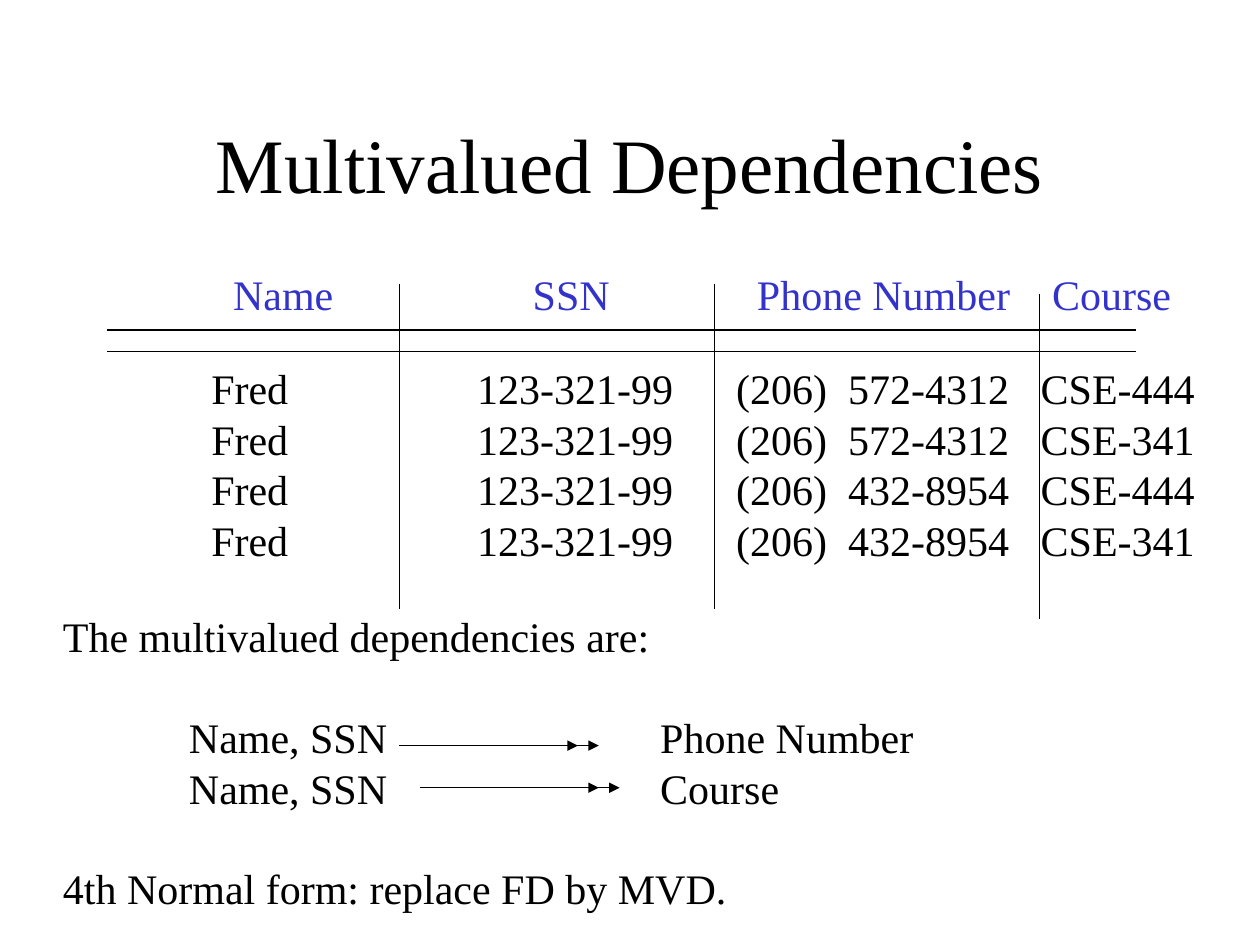
from lxml.etree import SubElement
from pptx import Presentation
from pptx.dml.color import RGBColor
from pptx.enum.shapes import MSO_CONNECTOR
from pptx.enum.text import MSO_ANCHOR, PP_ALIGN
from pptx.oxml.ns import qn
from pptx.util import Cm, Pt


def colour(value):
    return RGBColor.from_string(value)


def apply(target, values):
    for name, value in values.items():
        setattr(target, name, value)


class Page:
    """Holds the style and the current slide, and draws each kind of element."""

    font = {"name": "Times New Roman", "size": Pt(24)}
    body = {"line_spacing": Pt(28.8)}
    black = "000000"
    blue = "3333CC"

    def __init__(self, deck):
        self.slide = deck.slides.add_slide(deck.slide_layouts[6])

    def text(self, place, lines, tabs=(), ink=black, font=None, para_format=body, frame_format=None):
        box = self.slide.shapes.add_textbox(*map(Cm, place))
        frame = box.text_frame
        apply(frame, {"word_wrap": True, **(frame_format or {})})
        for index, (words, gap) in enumerate(lines):
            para = frame.paragraphs[0] if index == 0 else frame.add_paragraph()
            apply(para, {**para_format, "space_before": Pt(gap)})
            if tabs:
                stops = SubElement(para._p.get_or_add_pPr(), qn("a:tabLst"))
                for stop in tabs:
                    SubElement(stops, qn("a:tab"), pos=str(Cm(stop)), algn="l")
            span = para.add_run()
            span.text = words
            apply(span.font, {**self.font, **(font or {})})
            span.font.color.rgb = colour(ink)

    def line(self, start, end, arrow=False):
        points = map(Cm, (*start, *end))
        rule = self.slide.shapes.add_connector(MSO_CONNECTOR.STRAIGHT, *points)
        rule.line.width = Pt(0.75)
        rule.line.color.rgb = colour(self.black)
        if arrow:
            SubElement(rule.line._get_or_add_ln(), qn("a:tailEnd"), type="triangle")
        SubElement(rule._element.spPr, qn("a:effectLst"))


def main():
    deck = Presentation()
    apply(deck, {"slide_width": Cm(25.4), "slide_height": Cm(19.05)})
    page = Page(deck)

    page.text((1.9, 1.7, 21.6, 3.18), [("Multivalued Dependencies", 0)],
              font={"size": Pt(44)}, para_format={"alignment": PP_ALIGN.CENTER},
              frame_format={"vertical_anchor": MSO_ANCHOR.MIDDLE})

    for y in (6.65, 7.09):
        page.line((2.16, y), (22.91, y))
    page.text((4.45, 5.28, 19.61, 1.27), [("Name\tSSN\tPhone Number\tCourse", 0)],
              tabs=(6.04, 10.56, 16.51), ink=page.blue)
    for x, top in ((8.05, 5.72), (14.4, 5.72), (20.96, 5.92)):
        page.line((x, top), (x, top + 6.56))

    rows = [(f"Fred\t123-321-99\t(206)\t{phone}\t{course}", 0)
            for phone in ("572-4312", "432-8954")
            for course in ("CSE-444", "CSE-341")]
    page.text((4.01, 7.19, 21.39, 4.32), rows, tabs=(5.36, 10.58, 12.84, 16.72))

    page.text((1.02, 12.19, 17.65, 6.35), [
        ("The multivalued dependencies are:", 0),
        ("\tName, SSN\tPhone Number", 28.8),
        ("\tName, SSN\tCourse", 0),
        ("4th Normal form: replace FD by MVD.", 28.8),
    ], tabs=(2.54, 12.04))

    for left, y in ((8.05, 15.03), (8.47, 15.88)):
        for x in (left + 0.42, left):
            page.line((x, y), (x + 3.6, y), arrow=True)

    deck.save("out.pptx")


if __name__ == "__main__":
    main()
